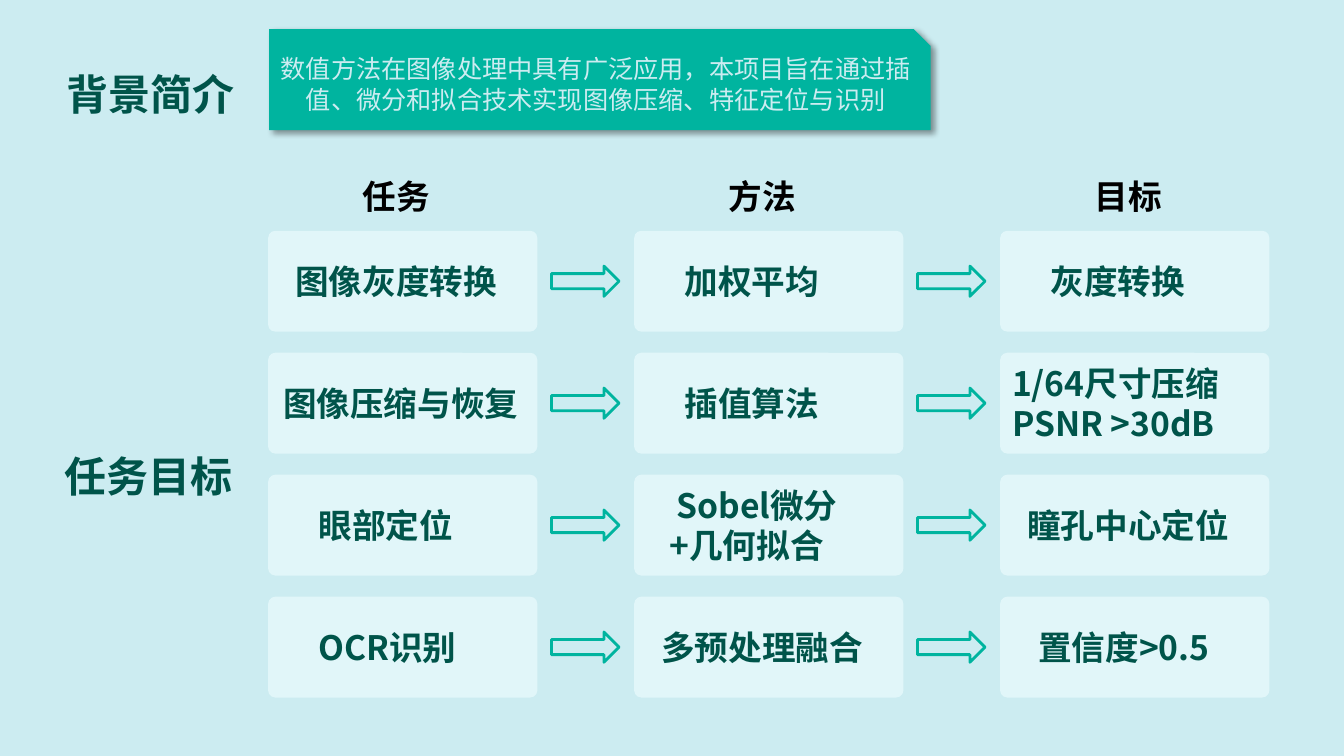
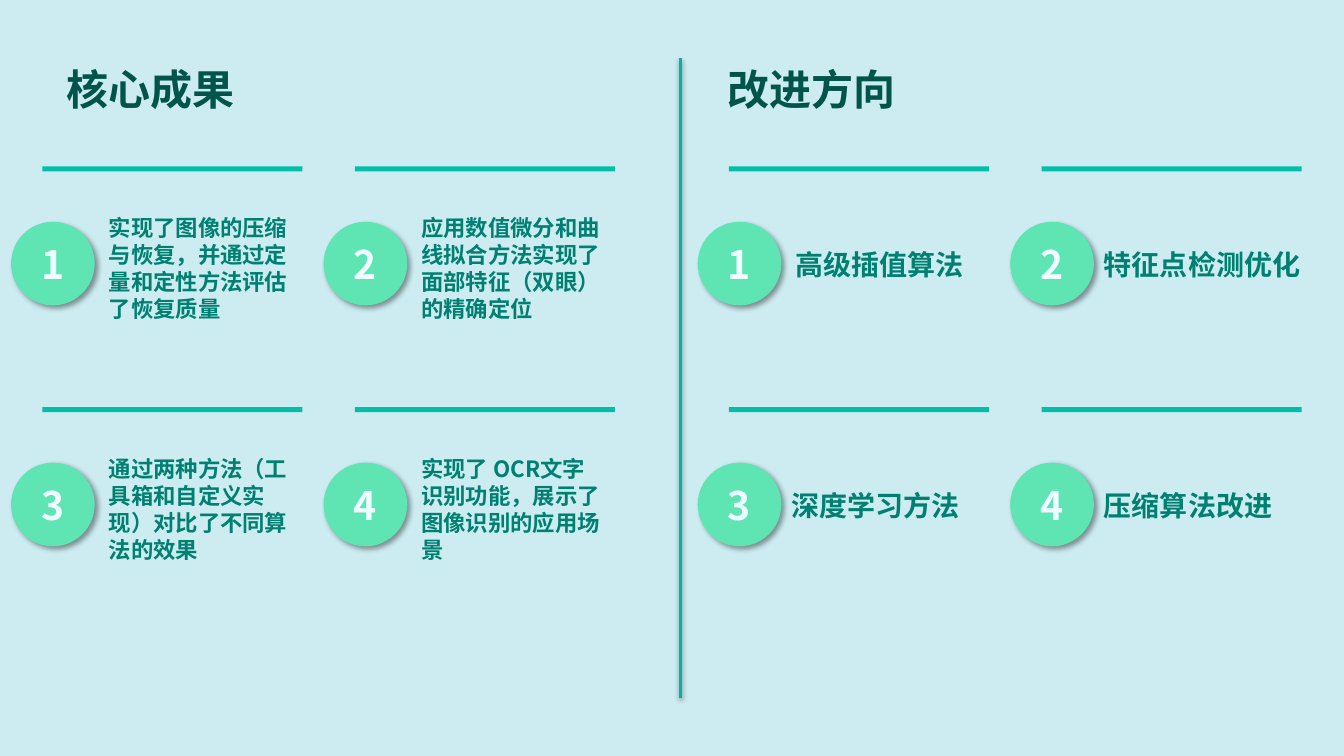
from lxml.etree import SubElement
from pptx import Presentation
from pptx.dml.color import RGBColor
from pptx.enum.shapes import MSO_CONNECTOR, MSO_SHAPE
from pptx.enum.text import MSO_ANCHOR, PP_ALIGN
from pptx.oxml.ns import qn
from pptx.util import Inches, Pt

BACKDROP = "CCECF1"
DEEP_GREEN = "00544A"
TEXT_GREEN = "008071"
TEAL = "00B49F"
RULE_TEAL = "00BEA8"
MINT = "5FE5B4"
PALE = "EEFDFF"
BLACK = "000000"
SANS = "Noto Sans CJK SC"
SERIF = "Times New Roman"


def rgb(code):
    return RGBColor.from_string(code)


class Deck:
    def __init__(self):
        self.prs = Presentation()
        self.prs.slide_width = Inches(13.33)
        self.prs.slide_height = Inches(7.5)
        backdrop = self.prs.slide_master.background.fill
        backdrop.solid()
        backdrop.fore_color.rgb = rgb(BACKDROP)
        self.slide = None

    def new_slide(self):
        self.slide = self.prs.slides.add_slide(self.prs.slide_layouts[6])

    def fill_text(self, frame, lines, size, color, font=SANS, bold=True,
                  align=PP_ALIGN.LEFT, leading=1.2, indents=(0,)):
        frame.word_wrap = True
        frame.text = "\n".join(lines)
        for paragraph, indent in zip(frame.paragraphs, indents):
            paragraph.alignment = align
            paragraph.line_spacing = Pt(size * leading)
            style = paragraph.font
            style.size = Pt(size)
            style.bold = bold
            style.color.rgb = rgb(color)
            style.name = font
            properties = paragraph._p.get_or_add_pPr()
            defaults = properties.find(qn("a:defRPr"))
            SubElement(defaults, qn("a:ea")).set("typeface", SANS)
            properties.set("marL", str(Inches(indent)))
            properties.set("indent", "0")

    def text(self, x, y, w, h, content, size, color, **style):
        box = self.slide.shapes.add_textbox(
            Inches(x), Inches(y), Inches(w), Inches(h))
        self.fill_text(box.text_frame, [content], size, color, **style)
        return box.text_frame

    def title(self, x, y, content):
        frame = self.text(x, y, 2.9, 1, content, 30, DEEP_GREEN,
                          font=SERIF, leading=1.87)
        frame.vertical_anchor = MSO_ANCHOR.MIDDLE
        frame.margin_left = frame.margin_top = frame.margin_bottom = Inches(0.14)
        frame.margin_right = Inches(0.06)

    def shape(self, kind, x, y, w, h, fill, line=None):
        figure = self.slide.shapes.add_shape(
            kind, Inches(x), Inches(y), Inches(w), Inches(h))
        figure.shadow.inherit = False
        figure.fill.solid()
        figure.fill.fore_color.rgb = rgb(fill)
        if line:
            figure.line.color.rgb = rgb(line)
            figure.line.width = Pt(2)
        else:
            figure.line.fill.background()
        figure.text_frame.vertical_anchor = MSO_ANCHOR.MIDDLE
        return figure

    def cast_shadow(self, properties, opacity=40, blur=4, distance=3, angle=45):
        effects = properties.find(qn("a:effectLst"))
        if effects is None:
            effects = SubElement(properties, qn("a:effectLst"))
        shadow = SubElement(effects, qn("a:outerShdw"), {
            "blurRad": str(Pt(blur)), "dist": str(Pt(distance)),
            "dir": str(angle * 60000), "algn": "tl", "rotWithShape": "0"})
        tint = SubElement(shadow, qn("a:srgbClr"), {"val": BLACK})
        SubElement(tint, qn("a:alpha"), {"val": str(opacity * 1000)})

    def banner(self, x, y, w, h, content):
        panel = self.shape(MSO_SHAPE.SNIP_1_RECTANGLE, x, y, w, h, TEAL)
        self.cast_shadow(panel._element.spPr)
        self.fill_text(panel.text_frame, [content], 18, BACKDROP, font=SERIF,
                       bold=False, align=PP_ALIGN.CENTER)

    def card(self, x, y, lines, indents):
        panel = self.shape(MSO_SHAPE.ROUNDED_RECTANGLE, x, y, 2.67, 1, PALE)
        panel.adjustments[0] = 0.07
        tint = panel._element.spPr.find(qn("a:solidFill"))[0]
        SubElement(tint, qn("a:alpha"), {"val": "62000"})
        self.fill_text(panel.text_frame, lines, 24, DEEP_GREEN, indents=indents)

    def arrow(self, x, y):
        self.shape(MSO_SHAPE.RIGHT_ARROW, x, y, 0.67, 0.3, BACKDROP, TEAL)

    def rule(self, x, y):
        self.shape(MSO_SHAPE.RECTANGLE, x, y, 2.58, 0.05, RULE_TEAL)

    def badge(self, x, y, number):
        disc = self.shape(MSO_SHAPE.OVAL, x, y, 0.83, 0.83, MINT)
        self.cast_shadow(disc._element.spPr)
        self.fill_text(disc.text_frame, [str(number)], 28, PALE,
                       align=PP_ALIGN.CENTER)

    def divider(self, x, top, bottom):
        line = self.slide.shapes.add_connector(
            MSO_CONNECTOR.STRAIGHT, Inches(x), Inches(top),
            Inches(x), Inches(bottom))
        line.line.color.rgb = rgb(TEAL)
        line.line.width = Pt(2)
        self.cast_shadow(line._element.spPr, 38, 3.1, 1.6, 90)

    def numbered_grid(self, left, items, width, drop, size):
        for index, (content, gap) in enumerate(items):
            row, column = divmod(index, 2)
            x = left + column * 3.1
            y = 1.65 + row * 2.39
            self.rule(x + 0.31, y)
            self.badge(x, y + 0.55, index + 1)
            self.text(x + gap, y + drop, width, 0.44, content, size, TEXT_GREEN)


def background_slide(deck):
    deck.new_slide()
    deck.title(0.52, 0.29, "背景简介")
    deck.banner(2.67, 0.29, 6.56, 1,
                "数值方法在图像处理中具有广泛应用，本项目旨在通过插值、"
                "微分和拟合技术实现图像压缩、特征定位与识别")
    deck.title(0.5, 4.08, "任务目标")
    columns = [
        ("任务", [(["图像灰度转换"], [0.15]),
                (["图像压缩与恢复"], [0.03]),
                (["眼部定位"], [0.38]),
                (["OCR识别"], [0.38])]),
        ("方法", [(["加权平均"], [0.38]),
                (["插值算法"], [0.38]),
                (["Sobel微分", "+几何拟合"], [0.3, 0.23]),
                (["多预处理融合"], [0.15])]),
        ("目标", [(["灰度转换"], [0.38]),
                (["1/64尺寸压缩", "PSNR >30dB"], [0, 0]),
                (["瞳孔中心定位"], [0.15]),
                (["置信度>0.5"], [0.26])]),
    ]
    for column, (heading, cells) in enumerate(columns):
        x = 2.66 + column * 3.63
        deck.text(x + 0.84, 1.7, 1.25, 0.5, heading, 24, BLACK, font=SERIF)
        for row, (lines, indents) in enumerate(cells):
            y = 2.29 + row * 1.21
            deck.card(x, y, lines, indents)
            if column < len(columns) - 1:
                deck.arrow(x + 2.81, y + 0.35)


def results_slide(deck):
    deck.new_slide()
    deck.title(0.52, 0.24, "核心成果")
    deck.title(7.08, 0.24, "改进方向")
    deck.divider(6.75, 0.58, 6.92)
    results = [
        ("实现了图像的压缩与恢复，并通过定量和定性方法评估了恢复质量", 0.87),
        ("应用数值微分和曲线拟合方法实现了面部特征（双眼）的精确定位", 0.87),
        ("通过两种方法（工具箱和自定义实现）对比了不同算法的效果", 0.87),
        ("实现了 OCR文字识别功能，展示了图像识别的应用场景", 0.87),
    ]
    improvements = [
        ("高级插值算法", 0.87),
        ("特征点检测优化", 0.83),
        ("深度学习方法", 0.83),
        ("压缩算法改进", 0.83),
    ]
    deck.numbered_grid(0.11, results, 1.98, 0.43, 16)
    deck.numbered_grid(6.92, improvements, 2.32, 0.76, 20)


def main():
    deck = Deck()
    background_slide(deck)
    results_slide(deck)
    deck.prs.save("out.pptx")


if __name__ == "__main__":
    main()
